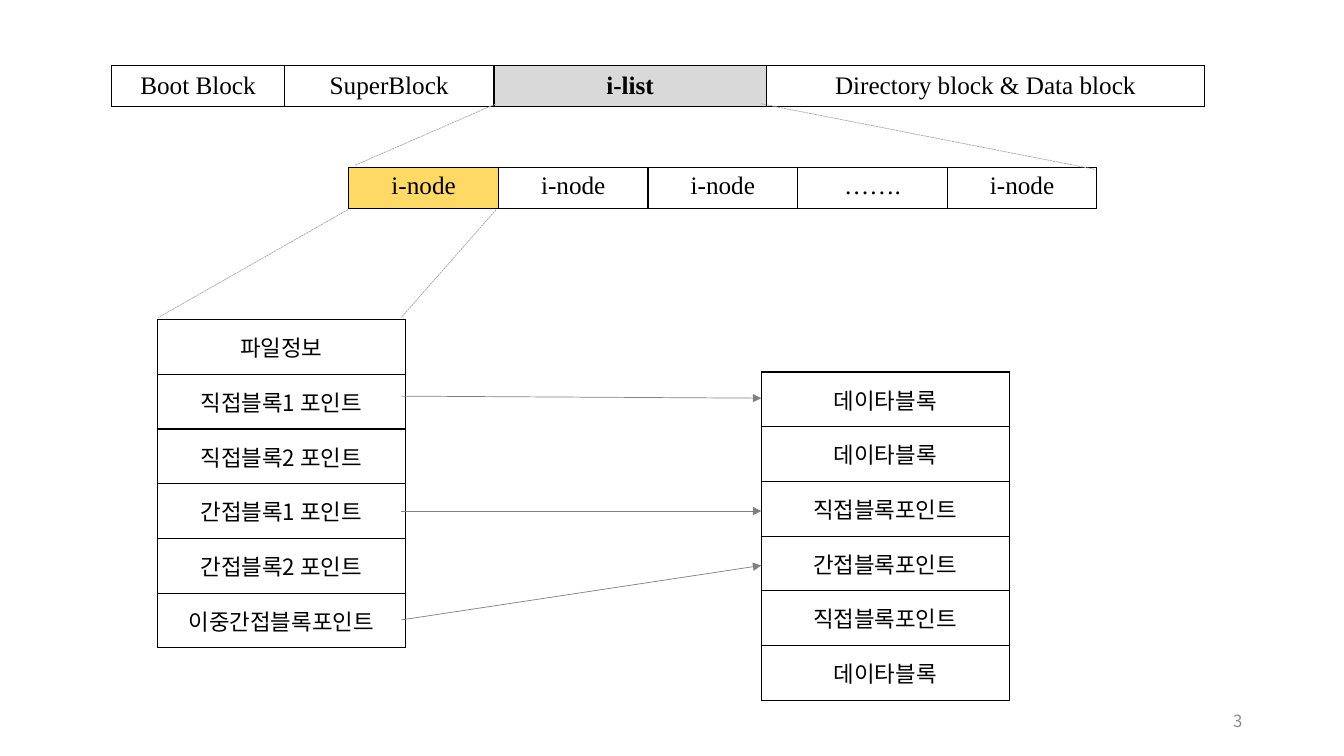
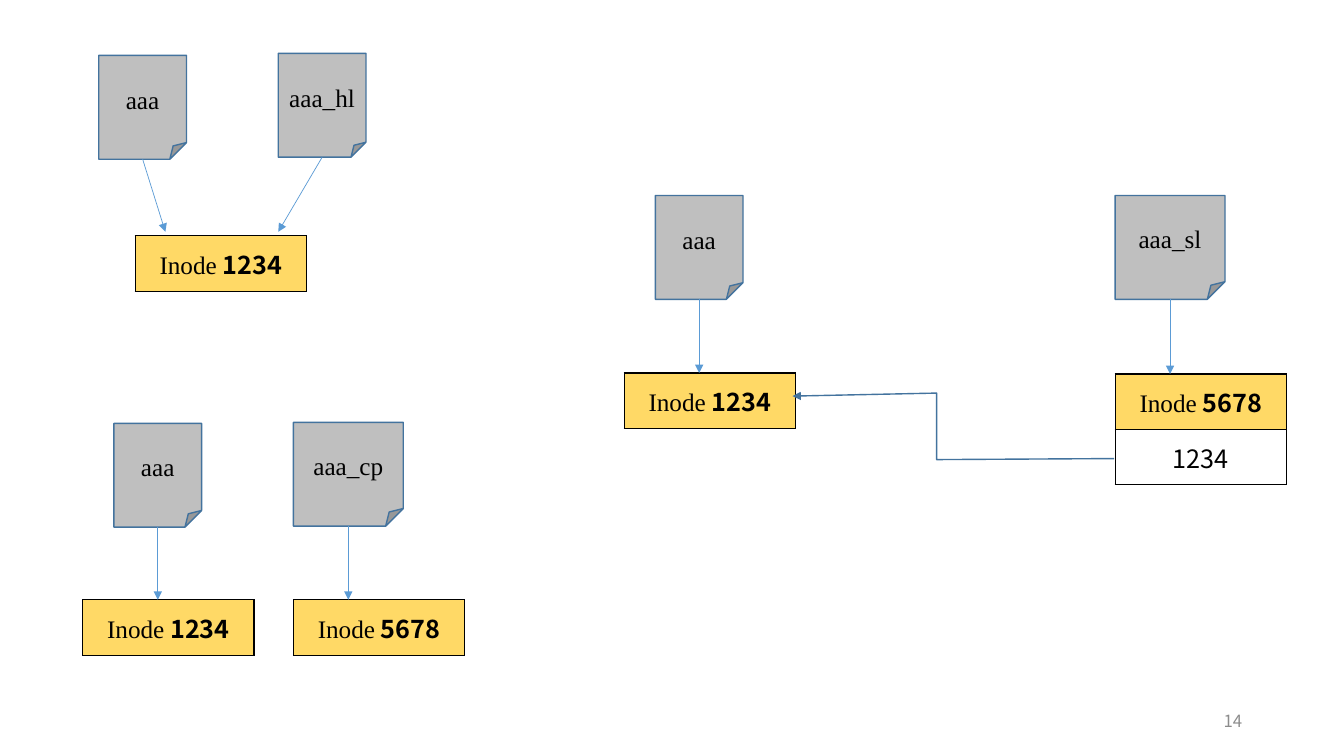
import dataclasses

import pptx
import pptx.dml.color
import pptx.enum.dml
import pptx.enum.shapes
import pptx.enum.text
import pptx.oxml.ns
import pptx.util
from lxml import etree

ANCHOR = pptx.enum.text.MSO_ANCHOR
ALIGN = pptx.enum.text.PP_ALIGN
SHAPE = pptx.enum.shapes.MSO_SHAPE
qn = pptx.oxml.ns.qn


@dataclasses.dataclass(frozen=True)
class Theme:
    latin: str = "Times New Roman"
    hangul: str = "Noto Sans CJK KR"
    label_size: int = 18
    block_size: int = 16
    page_size: int = 12
    ink: str = "000000"
    page: str = "8C8C8C"
    ilist: str = "D9D9D9"
    inode: str = "FFD966"
    note: str = "BFBFBF"
    outline: str = "43739E"
    zoom: str = "A6A6A6"
    pointer: str = "808080"
    arrow: str = "5B9BD5"
    hairline: float = 0.5
    border: float = 1


THEME = Theme()


@dataclasses.dataclass(frozen=True)
class Words:
    text: str
    font: str
    size: int
    bold: bool = False
    color: str = THEME.ink


@dataclasses.dataclass(frozen=True)
class Cell:
    words: tuple
    fill: str = ""
    anchor: ANCHOR = ANCHOR.MIDDLE


# The slide is 133.3 columns by 75 rows of square grid cells.
COLUMNS, ROWS = 133.3, 75
INODE_WIDTH, INODE_HEIGHT = 17, 5.5
NOTE_WIDTH, WIDE_NOTE_WIDTH, NOTE_HEIGHT = 8.7, 10.9, 10.3
PLAIN_FOLD, DEEP_FOLD = 0.17, 0.19
BLOCK_WIDTH, BLOCK_HEIGHT = 24.6, 5.43
STRIP_HEIGHT = 4.1


def grid(*cells):
    return [pptx.util.Inches(cell / 10) for cell in cells]


def rgb(color):
    return pptx.dml.color.RGBColor.from_string(color)


def apply(target, **settings):
    for name, value in settings.items():
        setattr(target, name, value)


def label(text, bold=False):
    return Words(text, THEME.latin, THEME.label_size, bold)


def paint(target, color):
    if color:
        target.fill.solid()
        target.fill.fore_color.rgb = rgb(color)
    else:
        target.fill.background()


def write(frame, words, align=ALIGN.CENTER):
    paragraph = frame.paragraphs[0]
    paragraph.alignment = align
    for part in words:
        run = paragraph.add_run()
        run.text = part.text
        apply(run.font, name=part.font, bold=part.bold, size=pptx.util.Pt(part.size))
        run.font.color.rgb = rgb(part.color)
        east_asian = etree.SubElement(run.font._element, qn("a:ea"))
        east_asian.set("typeface", part.font)


def stroke(shape, color, width, arrow=False, dash=None):
    apply(shape.line, width=pptx.util.Pt(width), dash_style=dash)
    shape.line.color.rgb = rgb(color)
    if arrow:
        outline = shape.element.spPr.find(qn("a:ln"))
        etree.SubElement(outline, qn("a:tailEnd")).set("type", "triangle")


def add_line(slide, start, end, color, arrow=True, dash=None):
    line = slide.shapes.add_connector(
        pptx.enum.shapes.MSO_CONNECTOR.STRAIGHT, *grid(*start, *end))
    stroke(line, color, THEME.hairline, arrow, dash)
    etree.SubElement(line.element.spPr, qn("a:effectLst"))


def add_zoom_line(slide, start, end):
    """Dashed guide from a part to its enlarged view."""
    add_line(slide, start, end, THEME.zoom, False,
             pptx.enum.dml.MSO_LINE.SQUARE_DOT)


def add_borders(cell):
    properties = cell._tc.get_or_add_tcPr()
    for side in ("a:lnL", "a:lnR", "a:lnT", "a:lnB"):
        edge = etree.SubElement(properties, qn(side))
        edge.set("w", str(pptx.util.Pt(THEME.border)))
        solid = etree.SubElement(edge, qn("a:solidFill"))
        etree.SubElement(solid, qn("a:srgbClr")).set("val", THEME.ink)


def add_blocks(slide, left, top, widths, height, rows):
    """Bordered table whose rows all have the same height."""
    table = slide.shapes.add_table(
        len(rows), len(widths),
        *grid(left, top, sum(widths), height * len(rows))).table
    apply(table, first_row=False, horz_banding=False)
    for column, width in zip(table.columns, grid(*widths)):
        column.width = width
    for table_row, row in zip(table.rows, rows):
        table_row.height = grid(height)[0]
        for cell, content in zip(table_row.cells, row):
            add_borders(cell)
            paint(cell, content.fill)
            cell.vertical_anchor = content.anchor
            write(cell.text_frame, content.words)


def add_block_column(slide, left, top, names):
    rows = [[Cell((Words(name, THEME.hangul, THEME.block_size),))]
            for name in names]
    add_blocks(slide, left, top, [BLOCK_WIDTH], BLOCK_HEIGHT, rows)


def add_inode(slide, left, top, number, target=None):
    """Inode box, with a second cell when it holds a target number."""
    def digits(text, bold):
        return Words(text, THEME.hangul, THEME.label_size, bold)

    rows = [[Cell((label("Inode"), digits(f" {number}", True)), THEME.inode)]]
    if target:
        rows.append([Cell((digits(target, False),))])
    add_blocks(slide, left, top, [INODE_WIDTH], INODE_HEIGHT, rows)


def set_fold(note, share):
    guides = note.element.spPr.find(qn("a:prstGeom")).find(qn("a:avLst"))
    guide = etree.SubElement(guides, qn("a:gd"))
    guide.set("name", "adj")
    guide.set("fmla", f"val {round(share * 100000)}")


def add_note(slide, left, top, name, width=NOTE_WIDTH, fold=PLAIN_FOLD):
    """Folded file note; gives back the middle of its lower edge."""
    note = slide.shapes.add_shape(
        SHAPE.FOLDED_CORNER, *grid(left, top, width, NOTE_HEIGHT))
    set_fold(note, fold)
    note.shadow.inherit = False
    paint(note, THEME.note)
    stroke(note, THEME.outline, THEME.border)
    apply(note.text_frame, word_wrap=False, vertical_anchor=ANCHOR.MIDDLE)
    write(note.text_frame, [label(name)])
    return left + width / 2, top + NOTE_HEIGHT


def add_link_path(slide, points):
    start, *rest = [grid(*point) for point in points]
    builder = slide.shapes.build_freeform(*start)
    builder.add_line_segments(rest, close=False)
    link = builder.convert_to_shape()
    link.shadow.inherit = False
    link.fill.background()
    stroke(link, THEME.outline, THEME.border, arrow=True)


def add_page(deck, number):
    slide = deck.slides.add_slide(deck.slide_layouts[6])
    frame = slide.shapes.add_textbox(*grid(94.2, 69.5, 30, 4)).text_frame
    apply(frame, word_wrap=True, vertical_anchor=ANCHOR.MIDDLE)
    write(frame, [Words(number, THEME.hangul, THEME.page_size, color=THEME.page)],
          ALIGN.RIGHT)
    return slide


def build_file_system(deck):
    slide = add_page(deck, "3")
    areas = [Cell((label("Boot Block"),)), Cell((label("SuperBlock"),)),
             Cell((label("i-list", True),), THEME.ilist),
             Cell((label("Directory block & Data block"),))]
    add_blocks(slide, 11.1, 6.5, [17.1, 20.8, 27, 43.5], STRIP_HEIGHT, [areas])

    names = ["i-node", "i-node", "i-node", "…….", "i-node"]
    inodes = [Cell((label(name),), "" if index else THEME.inode, ANCHOR.TOP)
              for index, name in enumerate(names)]
    add_blocks(slide, 34.6, 16.6, [14.84] * len(names), STRIP_HEIGHT, [inodes])

    add_block_column(slide, 15.6, 31.7, [
        "파일정보", "직접블록1 포인트", "직접블록2 포인트",
        "간접블록1 포인트", "간접블록2 포인트", "이중간접블록포인트"])
    add_block_column(slide, 75.5, 36.9, [
        "데이타블록", "데이타블록", "직접블록포인트",
        "간접블록포인트", "직접블록포인트", "데이타블록"])

    for start, end in [((49.2, 10.3), (35.2, 16.4)),
                       ((75.5, 10.3), (108.6, 16.8)),
                       ((34.5, 20.8), (15.7, 31.5)),
                       ((49.2, 20.8), (39.8, 31.5))]:
        add_zoom_line(slide, start, end)
    for pointer_y, block_y in [(39.3, 39.5), (50.7, 50.7), (61.5, 56.1)]:
        add_line(slide, (39.8, pointer_y), (75.5, block_y), THEME.pointer)


def build_links(deck):
    slide = add_page(deck, "14")

    original = add_note(slide, 9.8, 5.5, "aaa", fold=DEEP_FOLD)
    hard_link = add_note(slide, 27.6, 5.3, "aaa_hl")
    add_inode(slide, 13.4, 23.4, "1234")
    add_line(slide, original, (16.4, 23), THEME.arrow)
    add_line(slide, hard_link, (27.6, 23), THEME.arrow)

    for note, inode in [
            ((11.3, 42, "aaa", NOTE_WIDTH, DEEP_FOLD), (8.2, 59.5, "1234")),
            ((29.1, 41.9, "aaa_cp", WIDE_NOTE_WIDTH), (29.1, 59.5, "5678")),
            ((65, 19.4, "aaa", NOTE_WIDTH, DEEP_FOLD), (61.9, 37, "1234")),
            ((110.6, 19.4, "aaa_sl", WIDE_NOTE_WIDTH),
             (110.6, 37.1, "5678", "1234"))]:
        note_x, note_bottom = add_note(slide, *note)
        add_inode(slide, *inode)
        add_line(slide, (note_x, note_bottom), (note_x, inode[1]), THEME.arrow)

    add_link_path(slide, [(110.5, 45.5), (92.9, 45.6), (92.9, 39), (78.6, 39.3)])


def main():
    deck = pptx.Presentation()
    deck.slide_width, deck.slide_height = grid(COLUMNS, ROWS)
    build_file_system(deck)
    build_links(deck)
    deck.save("out.pptx")


if __name__ == "__main__":
    main()
